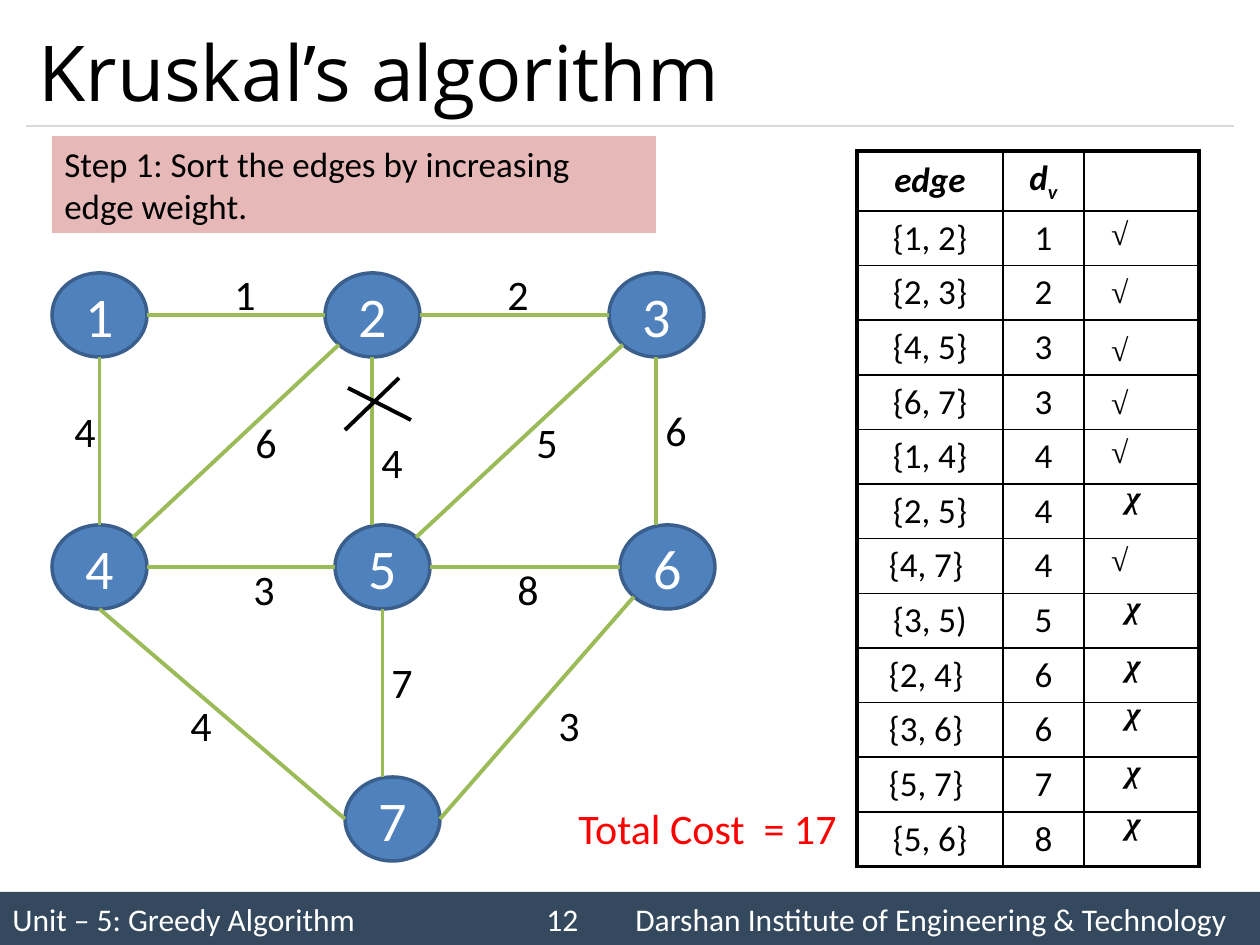
"""Build a slide that walks through Kruskal's algorithm on a weighted graph."""
from math import sqrt

from lxml.etree import SubElement
from pptx import Presentation
from pptx.dml.color import RGBColor
from pptx.enum.shapes import MSO_CONNECTOR, MSO_SHAPE
from pptx.enum.text import MSO_ANCHOR, PP_ALIGN
from pptx.oxml.ns import qn
from pptx.util import Pt

SCALE = 914400 // 126
COLORS = {
    "black": "000000", "white": "FFFFFF", "red": "FF0000", "rule": "D9D9D9",
    "footer": "34495E", "node": "4F81BD", "rim": "3A5F8C", "edge": "9BBB59",
    "step": "E6B9B8",
}
NODE_W, NODE_H = 95, 84
NODES = {
    "1": (52, 273), "2": (325, 273), "3": (609, 273),
    "4": (52, 525), "5": (335, 525), "6": (620, 525), "7": (345, 777),
}
DIAG = sqrt(0.5)
SITES = {
    "top": (0, -1), "left": (-1, 0), "bottom": (0, 1), "right": (1, 0),
    "low left": (-DIAG, DIAG), "high right": (DIAG, -DIAG),
}
EDGES = [
    ("1", "right", "2", "left", "1", 222, 262),
    ("2", "right", "3", "left", "2", 495, 262),
    ("4", "right", "5", "left", "3", 241, 557),
    ("5", "right", "6", "left", "8", 505, 557),
    ("1", "bottom", "4", "top", "4", 62, 399),
    ("2", "bottom", "5", "top", "4", 369, 430),
    ("3", "bottom", "6", "top", "6", 653, 398),
    ("2", "low left", "4", "high right", "6", 243, 410),
    ("3", "low left", "5", "high right", "5", 524, 410),
    ("6", "low left", "7", "right", "3", 546, 693),
    ("4", "bottom", "7", "left", "4", 178, 693),
    ("5", "bottom", "7", "top", "7", 379, 650),
]
ROWS = [
    ("{1, 2}", "1", "√ ", 204), ("{2, 3}", "2", "√ ", 262),
    ("{4, 5}", "3", "√ ", 320), ("{6, 7}", "3", "√ ", 373),
    ("{1, 4}", "4", "√ ", 422), ("{2, 5}", "4", "χ", 467),
    ("{4, 7} ", "4", "√ ", 530), ("{3, 5)", "5", "χ", 577),
    ("{2, 4} ", "6", "χ", 635), ("{3, 6} ", "6", "χ", 683),
    ("{5, 7} ", "7", "χ", 741), ("{5, 6}", "8", "χ", 793),
]


def px(*sizes):
    """Turn pixel lengths into a list of EMU."""
    return [round(size * SCALE) for size in sizes]


def color(name):
    """Look up a named colour."""
    return RGBColor.from_string(COLORS[name])


def write(frame, text, size=24, ink="black", face="Calibri", bold=False,
          slant=False, align=PP_ALIGN.LEFT, anchor=MSO_ANCHOR.TOP, wrap=True,
          sub="", tabs=()):
    """Fill a text frame with one formatted paragraph."""
    frame.word_wrap = wrap
    frame.vertical_anchor = anchor
    para = frame.paragraphs[0]
    para.alignment = align
    if tabs:
        stops = SubElement(para._p.get_or_add_pPr(), qn("a:tabLst"))
        for stop in px(*tabs):
            SubElement(stops, qn("a:tab"), pos=str(stop), algn="l")
    for part in filter(None, (text, sub)):
        run = para.add_run()
        run.text = part
        font = run.font
        font.size, font.name, font.bold, font.italic = Pt(size), face, bold, slant
        font.color.rgb = color(ink)
    if sub:
        run._r.get_or_add_rPr().set("baseline", "-25000")


def label(slide, text, box, **form):
    """Add a text box."""
    write(slide.shapes.add_textbox(*px(*box)).text_frame, text, **form)


def block(slide, kind, text, box, fill=None, rim=None, **form):
    """Add a preset shape that holds text."""
    shape = slide.shapes.add_shape(kind, *px(*box))
    shape.shadow.inherit = False
    if fill:
        shape.fill.solid()
        shape.fill.fore_color.rgb = color(fill)
    else:
        shape.fill.background()
    if rim:
        shape.line.color.rgb = color(rim)
        shape.line.width = Pt(2)
    else:
        shape.line.fill.background()
    write(shape.text_frame, text, **form)


def line(slide, start, end, ink, width=2.25):
    """Draw a straight line between two points."""
    link = slide.shapes.add_connector(MSO_CONNECTOR.STRAIGHT, *px(*start, *end))
    link.line.color.rgb = color(ink)
    link.line.width = Pt(width)
    SubElement(link._element.spPr, qn("a:effectLst"))


def site(node, side):
    """Find the point on one side of a node."""
    left, top = NODES[node]
    dx, dy = SITES[side]
    return left + NODE_W / 2 * (1 + dx), top + NODE_H / 2 * (1 + dy)


def graph(slide):
    """Draw the nodes, the edges and their weights."""
    for name, place in NODES.items():
        block(slide, MSO_SHAPE.OVAL, name, (*place, NODE_W, NODE_H), fill="node",
              rim="rim", size=32, ink="white", align=PP_ALIGN.CENTER,
              anchor=MSO_ANCHOR.MIDDLE)
    for first, side, last, goal, weight, left, top in EDGES:
        start, end = site(first, side), site(last, goal)
        if goal == "top":
            end = start[0], end[1]
        line(slide, start, end, "edge")
        label(slide, weight, (left, top, 50, 63))
    line(slide, (345, 430), (399, 378), "black")
    line(slide, (348, 388), (411, 420), "black")


def border(cell, thick):
    """Rule all sides of a cell, heavier on the named sides."""
    props = cell._tc.get_or_add_tcPr()
    for side in "LRTB":
        width = Pt(2.25 if side in thick else 1)
        rule = SubElement(props, qn(f"a:ln{side}"), w=str(width))
        SubElement(SubElement(rule, qn("a:solidFill")), qn("a:srgbClr"),
                   val=COLORS["black"])


def grid(slide):
    """Add the table of sorted edges."""
    last = len(ROWS)
    table = slide.shapes.add_table(last + 1, 3, *px(857, 151, 342, 716)).table
    table.first_row = table.horz_banding = False
    for col, width in zip(table.columns, px(146, 81, 115)):
        col.width = width
    table.rows[0].height = px(60)[0]
    for r in range(1, last + 1):
        table.rows[r].height = px(656)[0] // last
    for r, row in enumerate([("edge", "d", "")] + ROWS):
        head = r == 0
        for c, text in enumerate((*row[:2], "")):
            cell = table.cell(r, c)
            border(cell, "T" * head + "B" * (r == last) + ("L", "", "R")[c])
            cell.fill.background()
            cell.margin_top, cell.margin_bottom = px(5, 5)
            cell.vertical_anchor = MSO_ANCHOR.MIDDLE
            write(cell.text_frame, text, size=20, bold=head, slant=head,
                  align=PP_ALIGN.CENTER, anchor=MSO_ANCHOR.MIDDLE, wrap=None,
                  sub="v" if head and c == 1 else "")


def marks(slide):
    """Mark each edge as taken or dropped."""
    for _, _, mark, top in ROWS:
        left = 1102 if mark == "χ" else 1092
        block(slide, MSO_SHAPE.ROUNDED_RECTANGLE, mark, (left, top, 63, 58),
              size=18, face="Times New Roman", bold=True, slant=True,
              align=PP_ALIGN.CENTER, anchor=MSO_ANCHOR.MIDDLE)


def main():
    """Build and save the slide."""
    deck = Presentation()
    deck.slide_width, deck.slide_height = px(1260, 945)
    slide = deck.slides.add_slide(deck.slide_layouts[6])
    block(slide, MSO_SHAPE.RECTANGLE,
          "Unit – 5: Greedy Algorithm\t12\tDarshan Institute of Engineering & Technology",
          (0, 892, 1260, 53), fill="footer", size=18, ink="white",
          anchor=MSO_ANCHOR.MIDDLE, tabs=(534, 623))
    line(slide, (26, 126), (1234, 126), "rule", 0.75)
    label(slide, "Kruskal’s algorithm", (26, 15, 1208, 111), size=44,
          face="Open Sans", anchor=MSO_ANCHOR.MIDDLE)
    graph(slide)
    block(slide, MSO_SHAPE.RECTANGLE,
          "Step 1: Sort the edges by increasing edge weight.",
          (52, 136, 604, 97), fill="step", size=20)
    grid(slide)
    marks(slide)
    label(slide, "Total Cost  = 17", (566, 796, 286, 63), ink="red", wrap=False)
    deck.save("out.pptx")


if __name__ == "__main__":
    main()
